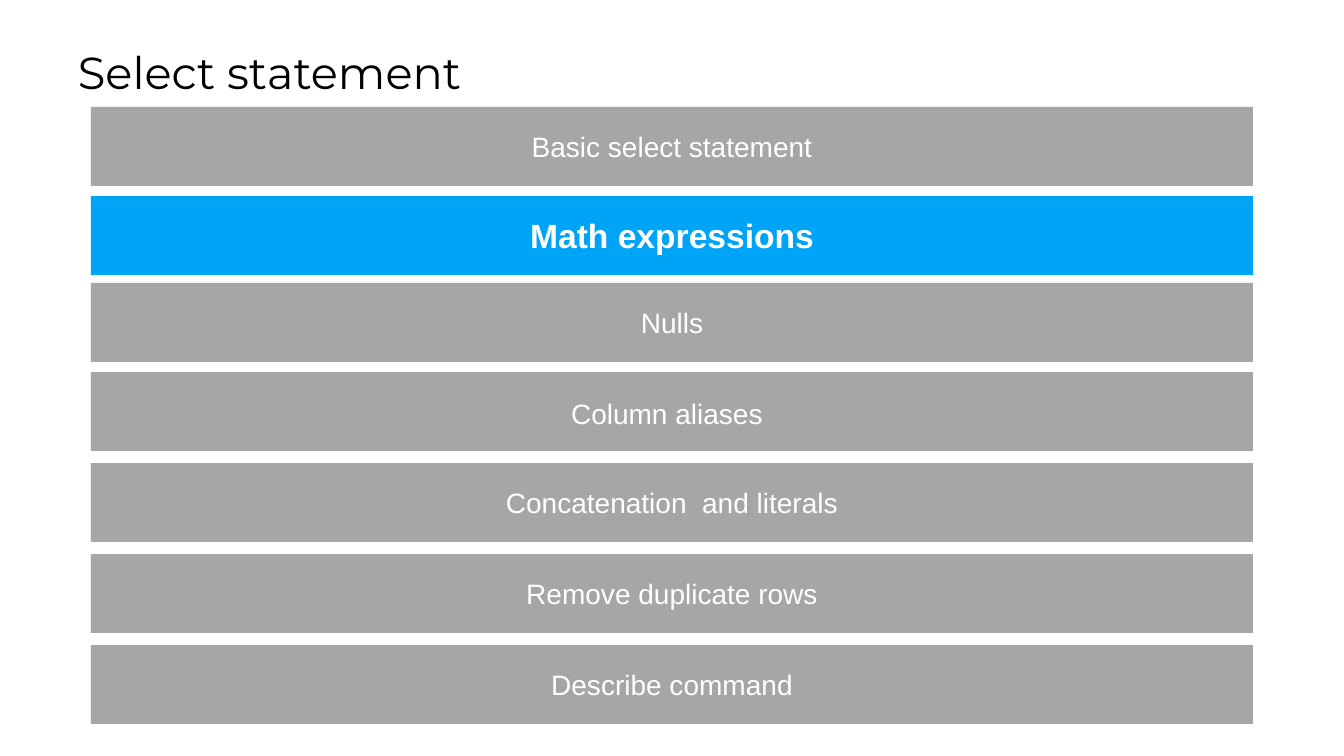
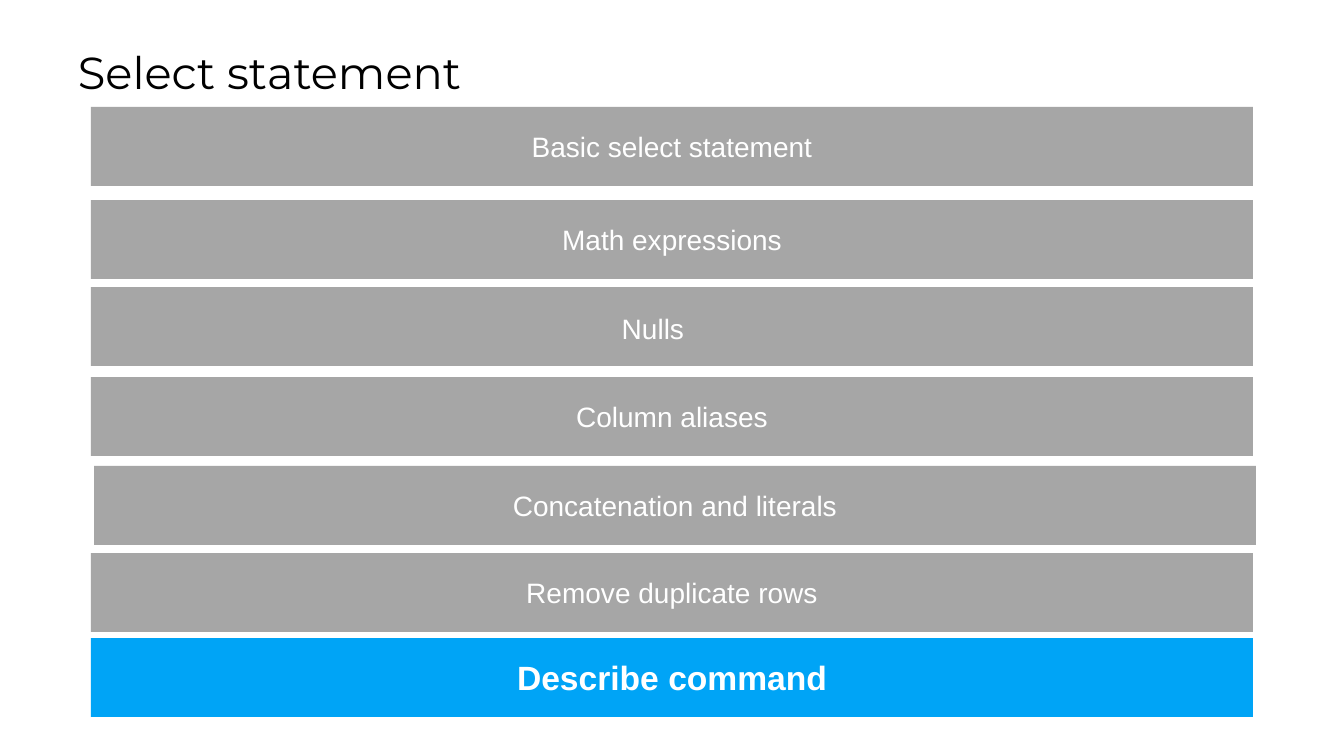
import pptx
import pptx.util
import pptx.dml.color
import pptx.enum.shapes
import pptx.enum.text

SLIDE_WIDTH, SLIDE_HEIGHT = 1344, 756
BAR_LEFT, BAR_WIDTH, BAR_HEIGHT = 91, 1162, 79
GREY, BLUE, WHITE, BLACK = "A6A6A6", "00A4F6", "FFFFFF", "000000"


def pixels(count):
    return pptx.util.Emu(round(count * 914400 / 100.8))


def color(hex_string):
    return pptx.dml.color.RGBColor.from_string(hex_string)


class AgendaDeck:
    def __init__(self):
        self.deck = pptx.Presentation()
        self.deck.slide_width = pixels(SLIDE_WIDTH)
        self.deck.slide_height = pixels(SLIDE_HEIGHT)
        self.page = None

    def add_page(self, title):
        self.page = self.deck.slides.add_slide(self.deck.slide_layouts[6])
        box = self.page.shapes.add_textbox(*map(pixels, (68, 39, 1216, 65)))
        self.set_text(box, title, "Montserrat", 32, BLACK)

    def set_text(self, shape, text, font, size, hex_string, bold=False):
        frame = shape.text_frame
        frame.word_wrap = True
        frame.vertical_anchor = pptx.enum.text.MSO_ANCHOR.MIDDLE
        frame.text = text
        span = frame.paragraphs[0].runs[0]
        span.font.name = font
        span.font.size = pptx.util.Pt(size)
        span.font.bold = bold
        span.font.color.rgb = color(hex_string)

    def add_bar(self, top, text, current=False, shift=0, text_shift=(0, 0)):
        bar = self.page.shapes.add_shape(
            pptx.enum.shapes.MSO_SHAPE.RECTANGLE,
            *map(pixels, (BAR_LEFT + shift, top, BAR_WIDTH, BAR_HEIGHT)))
        bar.shadow.inherit = False
        bar.fill.solid()
        bar.fill.fore_color.rgb = color(BLUE if current else GREY)
        bar.line.fill.background()
        self.set_text(bar, text, "Arial", 24 if current else 20, WHITE, current)
        frame = bar.text_frame
        frame.paragraphs[0].alignment = pptx.enum.text.PP_ALIGN.CENTER
        left, down = text_shift
        frame.margin_right += pixels(2 * left)
        frame.margin_top += pixels(2 * down)

    def save(self):
        self.deck.save("out.pptx")


agenda = AgendaDeck()

agenda.add_page("Select statement")
agenda.add_bar(107, "Basic select statement")
agenda.add_bar(196, "Math expressions", current=True)
agenda.add_bar(283, "Nulls")
agenda.add_bar(372, "Column aliases", text_shift=(5, 2))
agenda.add_bar(463, "Concatenation  and literals")
agenda.add_bar(554, "Remove duplicate rows")
agenda.add_bar(645, "Describe command")

agenda.add_page("Select statement")
agenda.add_bar(107, "Basic select statement")
agenda.add_bar(200, "Math expressions")
agenda.add_bar(287, "Nulls", text_shift=(19, 2))
agenda.add_bar(377, "Column aliases")
agenda.add_bar(466, "Concatenation and literals", shift=3)
agenda.add_bar(553, "Remove duplicate rows")
agenda.add_bar(638, "Describe command", current=True)

agenda.save()
